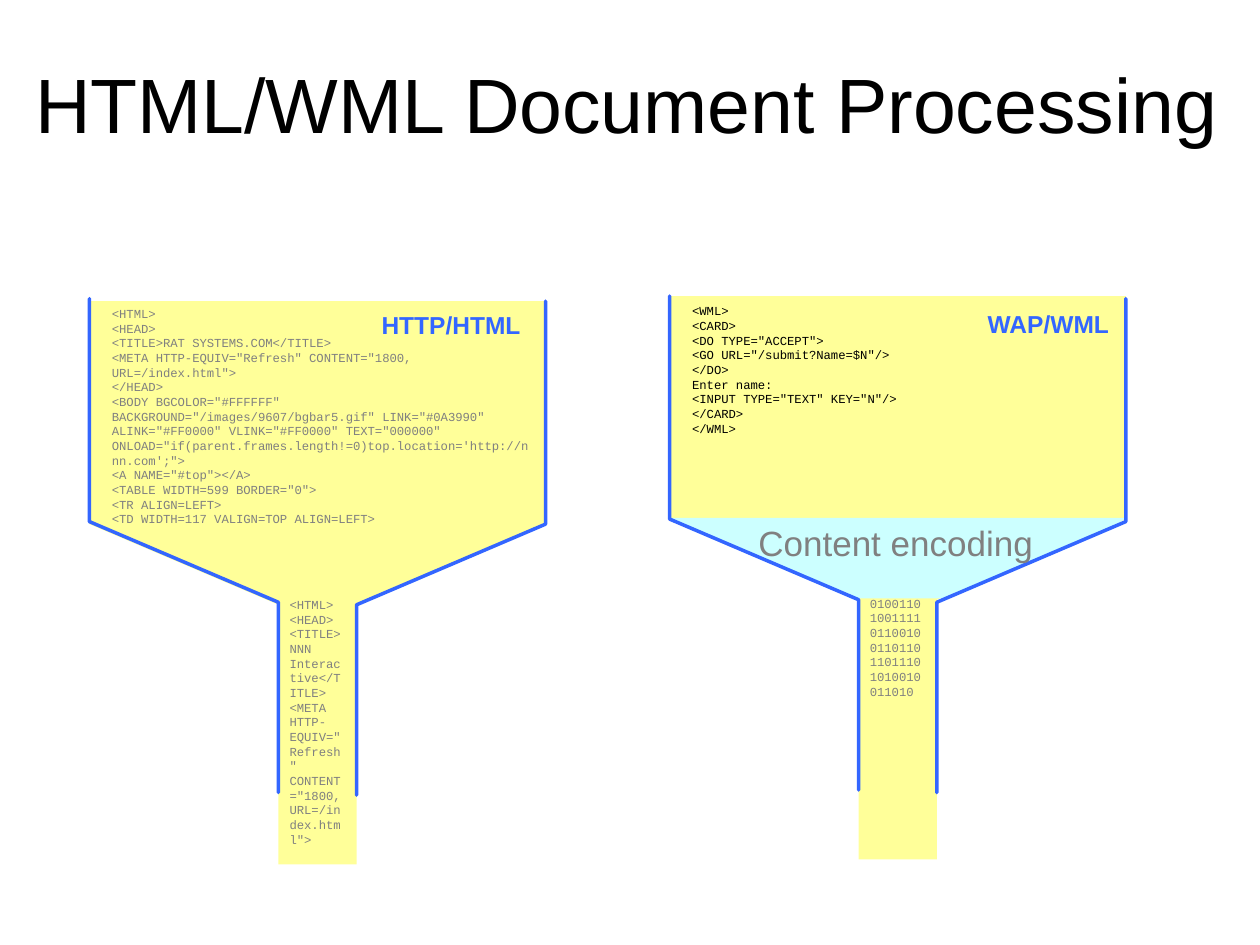
from lxml import etree
from pptx import Presentation
from pptx.dml.color import RGBColor
from pptx.enum.text import MSO_ANCHOR, MSO_AUTO_SIZE, PP_ALIGN
from pptx.oxml.ns import qn
from pptx.util import Inches, Pt

LEFT, CENTER = PP_ALIGN.LEFT, PP_ALIGN.CENTER
TOP, MIDDLE = MSO_ANCHOR.TOP, MSO_ANCHOR.MIDDLE
NO_FIT, GROW = MSO_AUTO_SIZE.NONE, MSO_AUTO_SIZE.SHAPE_TO_FIT_TEXT
BLUE, GRAY, BLACK = "3366FF", "808080", "000000"
YELLOW, CYAN = "FFFF99", "CCFFFF"
SANS, MONO = "Arial", "Courier New"

prs = Presentation()
prs.slide_width, prs.slide_height = Inches(10), Inches(7.5)
COL, ROW = prs.slide_width / 100, prs.slide_height / 75
slide = prs.slides.add_slide(prs.slide_layouts[5])


def write(text, at, box=None, size=7, font=MONO, color=GRAY, bold=False,
          wrap=True, align=LEFT, anchor=TOP, fit=GROW):
    """Fill a box, or a new text box, at (column, row, columns, rows)."""
    x, y, w, h = at
    box = box or slide.shapes.add_textbox(0, 0, 0, 0)
    box.left, box.top = round(x * COL), round(y * ROW)
    box.width, box.height = round(w * COL), round(h * ROW)
    frame = box.text_frame
    frame.text = text
    frame.word_wrap, frame.auto_size = wrap, fit
    frame.vertical_anchor = anchor
    for paragraph in frame.paragraphs:
        paragraph.alignment = align
        for run in paragraph.runs:
            run.font.size, run.font.name, run.font.bold = Pt(size), font, bold
            run.font.color.rgb = RGBColor.from_string(color)


def outline(points, left, top, fill=None):
    """Draw a filled area, or an open blue wall when there is no fill."""
    corners = [(round((left + x) * COL), round((top + y) * ROW)) for x, y in points]
    builder = slide.shapes.build_freeform(*corners[0])
    builder.add_line_segments(corners[1:], close=fill is not None)
    shape = builder.convert_to_shape()
    shape.shadow.inherit = False
    if fill:
        shape.fill.solid()
        shape.fill.fore_color.rgb = RGBColor.from_string(fill)
        shape.line.fill.background()
    else:
        shape.fill.background()
        shape.line.color.rgb = RGBColor.from_string(BLUE)
        shape.line.width = Pt(2)
        line = shape.line._get_or_add_ln()
        line.set("cap", "rnd")
        etree.SubElement(line, qn("a:round"))


# Title
write("HTML/WML Document Processing", (1.1, 1.9, 97.3, 12.5), slide.shapes.title,
      size=44, font=SANS, color=BLACK, align=CENTER, anchor=MIDDLE, fit=NO_FIT)

# Funnels: mouth, slope and spout, measured from the mouth's top left corner
MOUTH, SPOUT_LEFT, SPOUT_RIGHT = 36.2, 15, 21.2
SLOPE, NECK, WALL_END, SPOUT_END = 17.7, 24.1, 39.2, 44.7
body = [(0, 0), (0, SLOPE), (SPOUT_LEFT, NECK), (SPOUT_LEFT, SPOUT_END),
        (SPOUT_RIGHT, SPOUT_END), (SPOUT_RIGHT, NECK), (MOUTH, SLOPE), (MOUTH, 0)]
left_wall = [(0, 0), (0, SLOPE), (SPOUT_LEFT, NECK), (SPOUT_LEFT, WALL_END)]
right_wall = [(MOUTH - x, y) for x, y in left_wall]
encoding_band = [(0, 17.6), (MOUTH, 17.6), (35.5, 18.1), (21.8, 24), (SPOUT_LEFT, 24)]

HTML_LEFT, WML_LEFT = 7.1, 53.15
for left, body_top, wall_top, band in [
    (HTML_LEFT, 23.9, 23.7, None),
    (WML_LEFT, 23.5, 23.5, encoding_band),
]:
    outline(body, left, body_top, YELLOW)
    if band:
        outline(band, left, body_top, CYAN)
    outline(left_wall, left, wall_top)
    outline(right_wall, left, wall_top + 0.2)

# Documents going in
html_source = """<HTML>
<HEAD>
<TITLE>RAT SYSTEMS.COM</TITLE>
<META HTTP-EQUIV="Refresh" CONTENT="1800, URL=/index.html">
</HEAD>
<BODY BGCOLOR="#FFFFFF" BACKGROUND="/images/9607/bgbar5.gif" LINK="#0A3990" \
ALINK="#FF0000" VLINK="#FF0000" TEXT="000000" \
ONLOAD="if(parent.frames.length!=0)top.location='http://nnn.com';">
<A NAME="#top"></A>
<TABLE WIDTH=599 BORDER="0">
<TR ALIGN=LEFT>
<TD WIDTH=117 VALIGN=TOP ALIGN=LEFT>"""
wml_source = """<WML>
<CARD>
<DO TYPE="ACCEPT">
<GO URL="/submit?Name=$N"/>
</DO>
Enter name:
<INPUT TYPE="TEXT" KEY="N"/>
</CARD>
</WML>"""
write(html_source, (HTML_LEFT + 0.8, 23.8, 35.4, 18.5))
write(wml_source, (WML_LEFT + 0.8, 23.6, 22.2, 11.5), color=BLACK)

# Data coming out of the spouts
html_output = """<HTML>
<HEAD>
<TITLE>NNN Interactive</TITLE>
<META HTTP-EQUIV="Refresh" CONTENT="1800, URL=/index.html">"""
wml_output = "010011010011110110010011011011011101010010011010"
write(html_output, (HTML_LEFT + 14.9, 46.9, 6.3, 20.8))
write(wml_output, (WML_LEFT + 14.9, 46.8, 6.3, 9.1))

# Labels
write("Content encoding", (59.2, 40.9, 23.9, 4.3), size=20, font=SANS, wrap=False)
for protocol, at in [("HTTP/HTML", (29.3, 24.1, 13.3, 3.3)),
                     ("WAP/WML", (77.4, 24, 11.9, 3.3))]:
    write(protocol, at, size=14, font=SANS, color=BLUE, bold=True, wrap=False)

prs.save("out.pptx")
